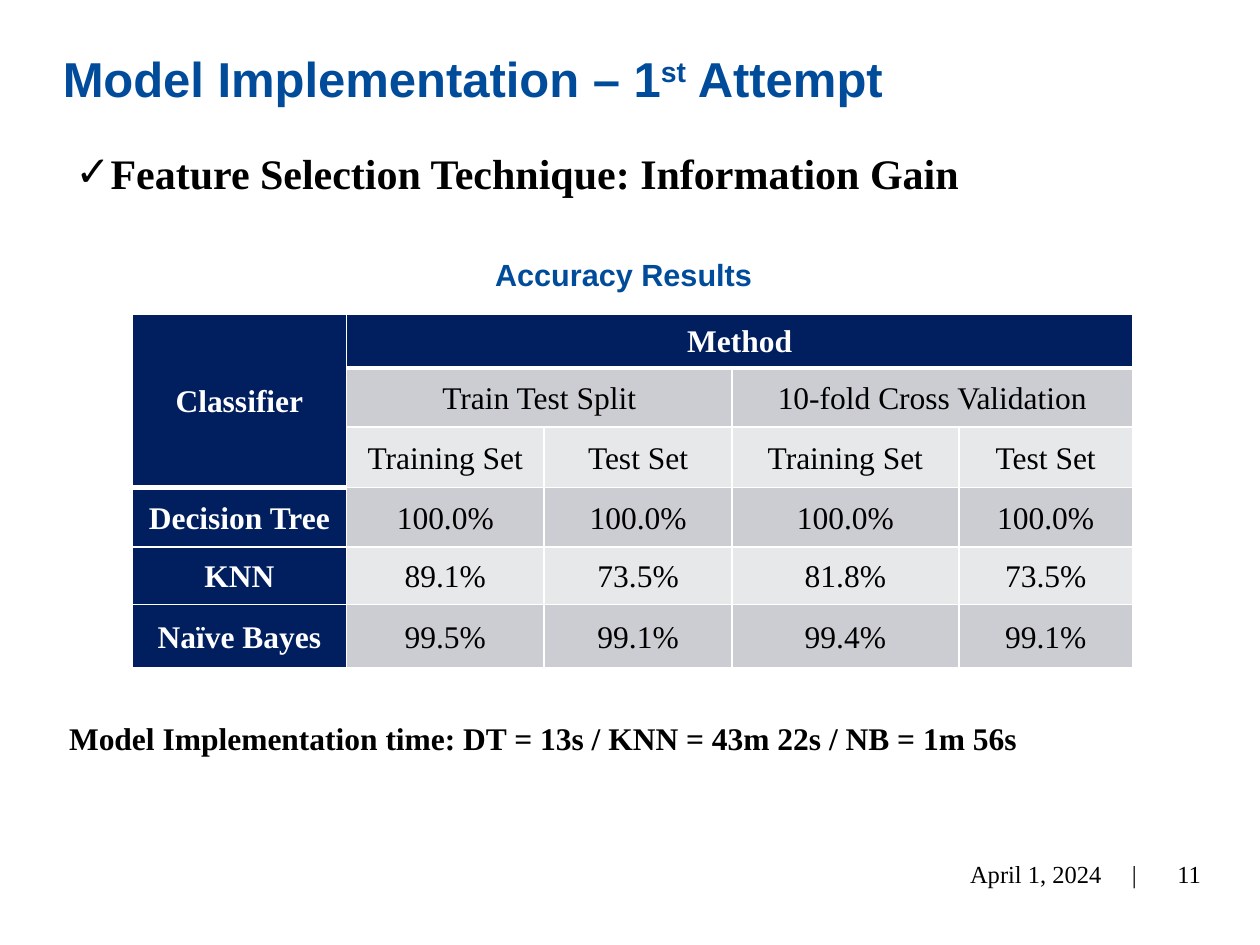
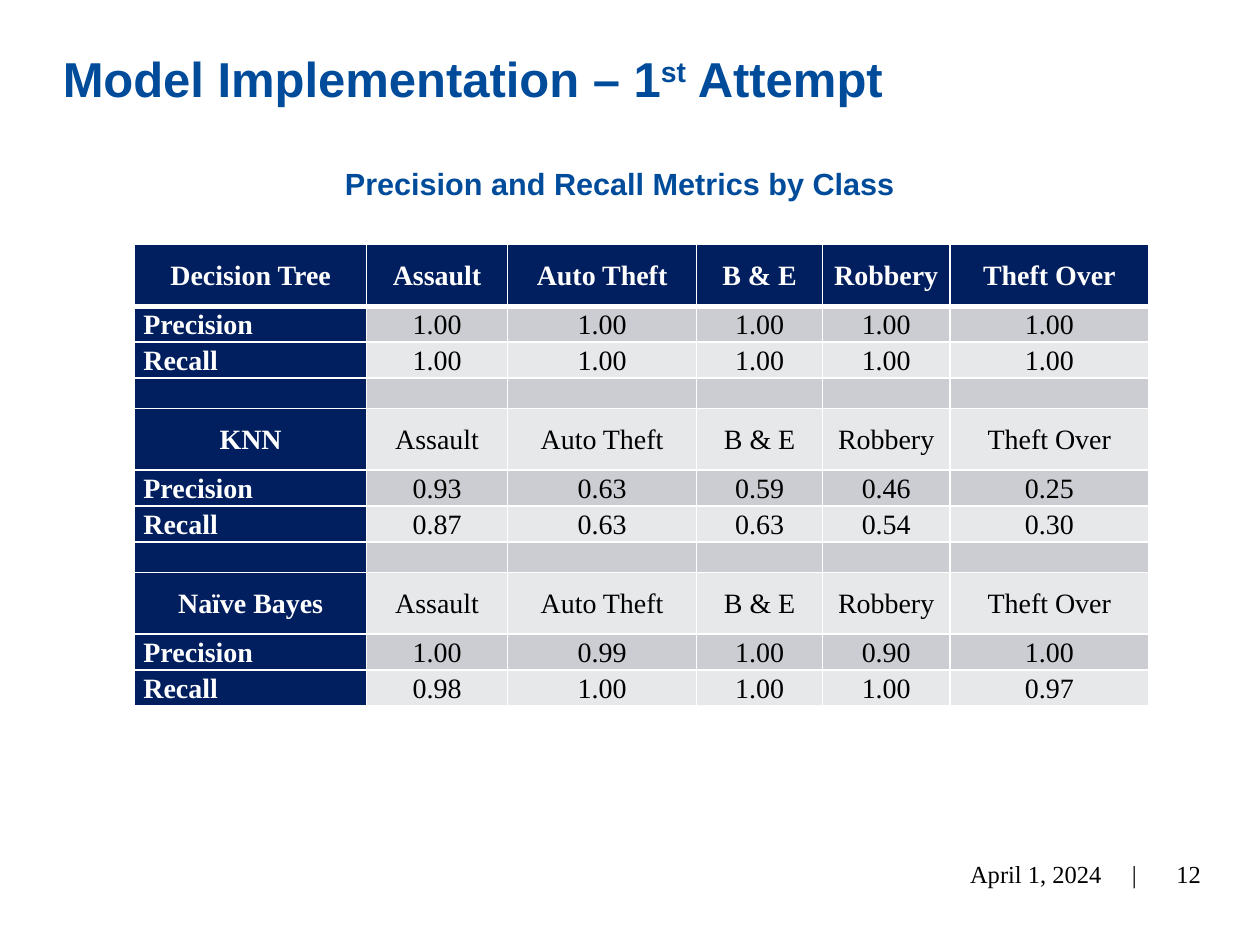
import pptx
import pptx.util
import pptx.dml.color
import pptx.enum.text
from lxml import etree
from pptx.oxml.ns import qn

Pt = pptx.util.Pt
ALIGN = pptx.enum.text.PP_ALIGN
MIDDLE = pptx.enum.text.MSO_ANCHOR.MIDDLE

# Shared look
COLOURS = {"blue": "004C9B", "navy": "011E5E", "band": "CCCDD2",
           "pale": "E7E8EA", "white": "FFFFFF", "black": "000000"}
SANS, SERIF = "Arial", "Times New Roman"

# Shared content
TITLE = [("Model Implementation – 1", False), ("st", True), (" Attempt", False)]
DATE = "April 1, 2024"
FIRST_PAGE_NUMBER = 11

# First slide
TECHNIQUE = "Feature Selection Technique: Information Gain"
TIMES = "Model Implementation time: DT = 13s / KNN = 43m 22s / NB = 1m 56s"
SETS = ["Training Set", "Test Set"]
ACCURACY = {
    "at": (75.6, 179.3), "size": 18,
    "columns": [122.4, 113, 107.3, 129.6, 99.4],
    "heights": [31, 33.8, 34.6, 33.8, 33.1, 36],
    "rows": [
        ["Classifier", "Method", "", "", ""],
        ["", "Train Test Split", "", "10-fold Cross Validation", ""],
        ["", *SETS, *SETS],
        ["Decision Tree", "100.0%", "100.0%", "100.0%", "100.0%"],
        ["KNN", "89.1%", "73.5%", "81.8%", "73.5%"],
        ["Naïve Bayes", "99.5%", "99.1%", "99.4%", "99.1%"],
    ],
    # first cell and last cell of each merged block
    "merges": [((0, 0), (2, 0)), ((0, 1), (0, 4)), ((1, 1), (1, 2)), ((1, 3), (1, 4))],
    # cells with a thick lower edge
    "thick": {(2, 0), (0, 1), (0, 2), (0, 3), (0, 4)},
}

# Second slide
CRIMES = ["Assault", "Auto Theft", "B & E", "Robbery", "Theft Over"]
METRICS = ["Precision", "Recall"]
SCORES = {
    "Decision Tree": [["1.00"] * 5, ["1.00"] * 5],
    "KNN": [["0.93", "0.63", "0.59", "0.46", "0.25"],
            ["0.87", "0.63", "0.63", "0.54", "0.30"]],
    "Naïve Bayes": [["1.00", "0.99", "1.00", "0.90", "1.00"],
                    ["0.98", "1.00", "1.00", "1.00", "0.97"]],
}


def metrics_table():
    """Stack one block per classifier, with an empty row between blocks."""
    rows, heights = [], []
    for classifier, scores in SCORES.items():
        if rows:
            rows.append([""] * 6)
            heights.append(17.3)
        rows.append([classifier, *CRIMES])
        rows += [[metric, *values] for metric, values in zip(METRICS, scores)]
        heights += [35.3, 18, 18]
    return {"at": (77, 139.7), "size": 16, "rows": rows, "heights": heights,
            "columns": [132.5, 80.6, 108, 72, 72.7, 113.8],
            "merges": [], "thick": {(0, column) for column in range(6)}}


def rgb(name):
    return pptx.dml.color.RGBColor.from_string(COLOURS[name])


def add_span(para, text, size, font, colour, bold=False):
    span = para.add_run()
    span.text = text
    span.font.size, span.font.name, span.font.bold = Pt(size), font, bold
    span.font.color.rgb = rgb(colour)
    return span


def add_box(page, at, anchor=None):
    box = page.shapes.add_textbox(*[Pt(length) for length in at])
    box.text_frame.word_wrap = True
    if anchor is not None:
        box.text_frame.vertical_anchor = anchor
    return box.text_frame.paragraphs[0]


def add_tabs(para, stops):
    tabs = etree.SubElement(para._p.get_or_add_pPr(), qn("a:tabLst"))
    for position, side in stops:
        etree.SubElement(tabs, qn("a:tab"), pos=str(Pt(position)), algn=side)


def add_check_bullet(para, indent):
    props = para._p.get_or_add_pPr()
    props.set("marL", str(Pt(indent)))
    props.set("indent", str(-Pt(indent)))
    colour = etree.SubElement(props, qn("a:buClr"))
    etree.SubElement(colour, qn("a:srgbClr"), val=COLOURS["black"])
    etree.SubElement(props, qn("a:buFont"), typeface=SANS)
    etree.SubElement(props, qn("a:buChar"), char="✓")


def add_page(deck, number):
    """Blank page with the shared title, date and page number."""
    page = deck.slides.add_slide(deck.slide_layouts[6])
    para = add_box(page, (28.8, 31, 665.3, 41))
    para.line_spacing = Pt(26.6)
    for text, raised in TITLE:
        span = add_span(para, text, 28, SANS, "blue", True)
        if raised:
            span.font._element.set("baseline", "30000")
    para = add_box(page, (462.2, 484.6, 195.1, 28.8), MIDDLE)
    add_tabs(para, [(160.3, "r"), (177.5, "l")])
    add_span(para, f"\t{DATE}\t|", 14, SERIF, "black")
    para = add_box(page, (641.5, 484.6, 51.8, 28.8), MIDDLE)
    para.alignment = ALIGN.RIGHT
    add_span(para, str(number), 14, SERIF, "black")
    return page


def add_caption(page, text, at):
    add_span(add_box(page, at), text, 17.5, SANS, "blue", True)


def set_edges(cell, top, bottom):
    props = cell._tc.get_or_add_tcPr()
    for place, (side, width) in enumerate(
            [("lnL", 1), ("lnR", 1), ("lnT", top), ("lnB", bottom)]):
        line = etree.Element(qn(f"a:{side}"), w=str(Pt(width)))
        fill = etree.SubElement(line, qn("a:solidFill"))
        etree.SubElement(fill, qn("a:srgbClr"), val=COLOURS["white"])
        props.insert(place, line)


def fill_cell(cell, text, row, column, size):
    head = row == 0 or column == 0
    cell.fill.solid()
    cell.fill.fore_color.rgb = rgb("navy" if head else "band" if row % 2 else "pale")
    cell.vertical_anchor = MIDDLE
    cell.margin_left = cell.margin_right = Pt(5)
    cell.margin_top = cell.margin_bottom = 0
    para = cell.text_frame.paragraphs[0]
    if not text:
        etree.SubElement(para._p, qn("a:endParaRPr"), sz="1000")
        return
    para.alignment = ALIGN.LEFT if text in METRICS else ALIGN.CENTER
    para.line_spacing = 1.07
    para.space_after = Pt(10)
    add_span(para, text, size, SERIF, "white" if head else "black", head)


def add_grid(page, data):
    columns, heights, thick = data["columns"], data["heights"], data["thick"]
    left, top = data["at"]
    table = page.shapes.add_table(len(heights), len(columns), Pt(left), Pt(top),
                                  Pt(sum(columns)), Pt(sum(heights))).table
    table.first_row = table.horz_banding = False
    for column, width in zip(table.columns, columns):
        column.width = Pt(width)
    for line, height in zip(table.rows, heights):
        line.height = Pt(height)
    for row, texts in enumerate(data["rows"]):
        for column, text in enumerate(texts):
            cell = table.cell(row, column)
            fill_cell(cell, text, row, column, data["size"])
            set_edges(cell, 3 if (row - 1, column) in thick else 1,
                      3 if (row, column) in thick else 1)
    for first, last in data["merges"]:
        table.cell(*first).merge(table.cell(*last))


def main():
    deck = pptx.Presentation()
    deck.slide_width, deck.slide_height = Pt(720), Pt(540)

    # Accuracy by classifier and method
    page = add_page(deck, FIRST_PAGE_NUMBER)
    add_grid(page, ACCURACY)
    add_caption(page, "Accuracy Results", (275.8, 142.6, 169.2, 31))
    add_span(add_box(page, (32.4, 407.5, 657.4, 41)), TIMES, 18, SERIF, "black", True)
    para = add_box(page, (36, 80.6, 657.4, 41))
    add_check_bullet(para, 18)
    add_span(para, TECHNIQUE, 24, SERIF, "black", True)

    # Precision and recall by class
    page = add_page(deck, FIRST_PAGE_NUMBER + 1)
    add_caption(page, "Precision and Recall Metrics by Class", (190, 90.7, 339.8, 31))
    add_grid(page, metrics_table())

    deck.save("out.pptx")


if __name__ == "__main__":
    main()
